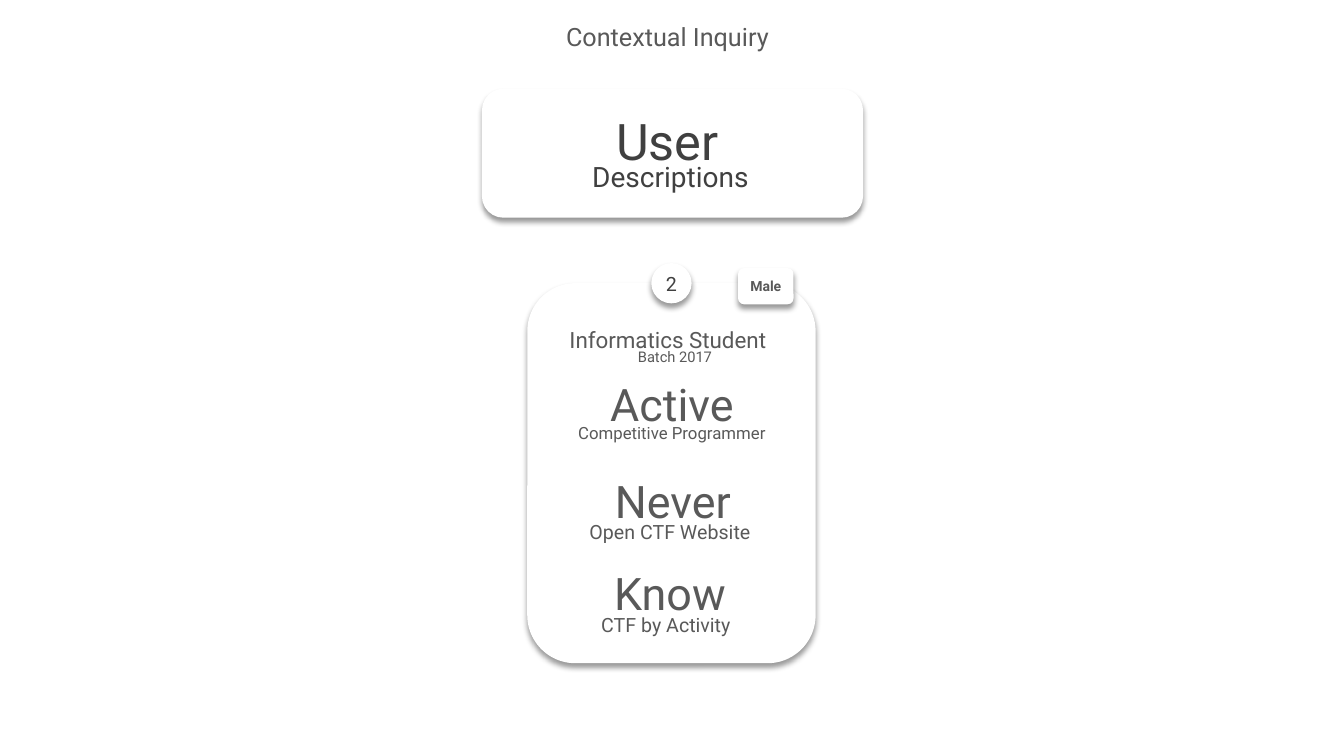
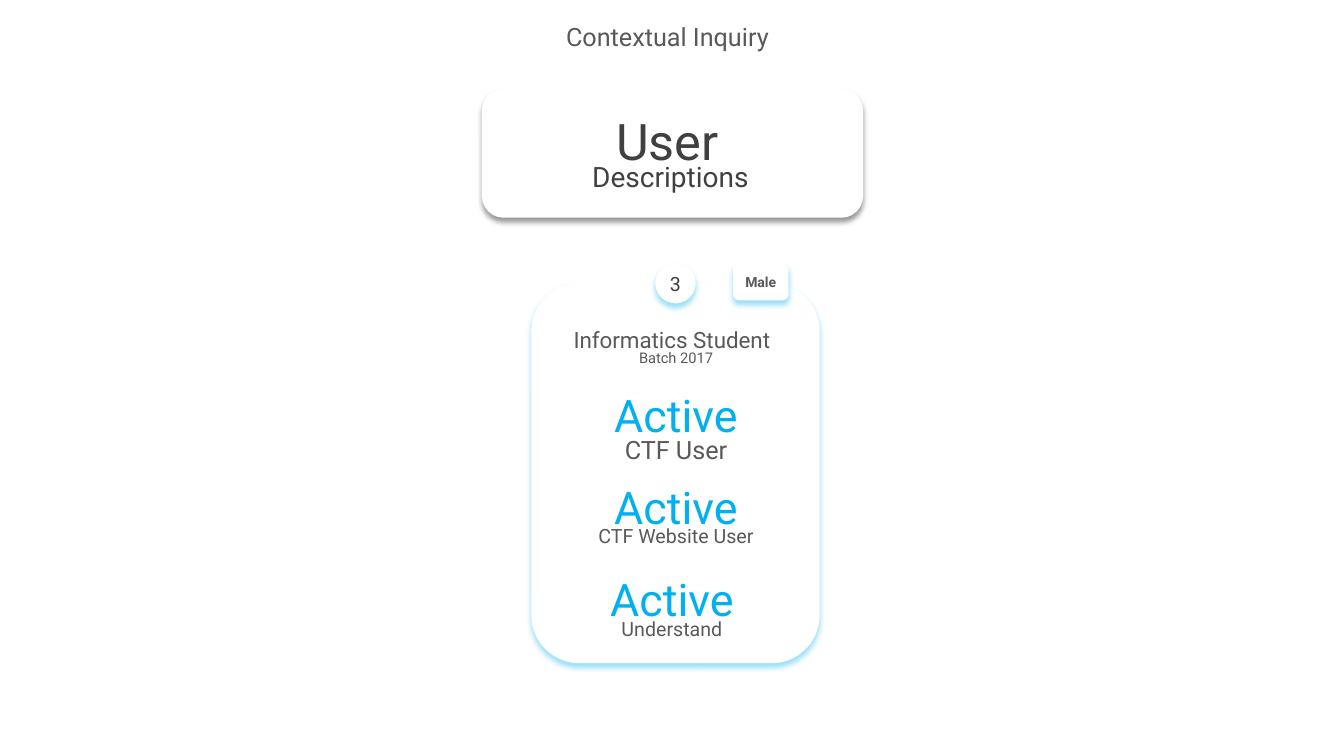
from pptx import Presentation
from pptx.dml.color import RGBColor
from pptx.enum.shapes import MSO_SHAPE
from pptx.enum.text import MSO_ANCHOR, PP_ALIGN
from pptx.oxml.ns import qn
from pptx.util import Inches, Pt
from lxml import etree

WHITE = RGBColor(0xFF, 0xFF, 0xFF)
BLACK = RGBColor(0x00, 0x00, 0x00)
DARK = RGBColor(0x40, 0x40, 0x40)
GRAY = RGBColor(0x59, 0x59, 0x59)
BLUE = RGBColor(0x00, 0xB0, 0xF0)
FONT = "Roboto"
ROUND = MSO_SHAPE.ROUNDED_RECTANGLE
OVAL = MSO_SHAPE.OVAL
LEFT, CENTER = PP_ALIGN.LEFT, PP_ALIGN.CENTER
TOP, MIDDLE = MSO_ANCHOR.TOP, MSO_ANCHOR.MIDDLE

HEAD_BOX = (4.78, 0.88, 3.78, 1.28)
CARD_TOP, CARD_W, CARD_H = 2.81, 2.86, 3.77
LINE_W = 2.23

CARDS = [
    dict(left=5.23, number="2", glow=BLACK, accent=GRAY, tag=(2.09, -0.15), lines=[
        ("Informatics Student", 0.32, 0.38, 16),
        ("Batch 2017", 0.35, 0.59, 10.5),
        ("Active", 0.32, 0.88, 32),
        ("Competitive Programmer", 0.32, 1.33, 12),
        ("Never", 0.33, 1.84, 32),
        ("Open CTF Website", 0.3, 2.3, 14),
        ("Know", 0.3, 2.75, 32),
        ("CTF by Activity", 0.26, 3.22, 14),
    ]),
    dict(left=5.27, number="3", glow=BLUE, accent=BLUE, tag=(2, -0.19), lines=[
        ("Informatics Student", 0.32, 0.38, 16),
        ("Batch 2017", 0.32, 0.6, 10.5),
        ("Active", 0.32, 0.99, 32),
        ("CTF User", 0.32, 1.45, 18),
        ("Active", 0.32, 1.9, 32),
        ("CTF Website User", 0.32, 2.34, 14),
        ("Active", 0.28, 2.81, 32),
        ("Understand", 0.28, 3.26, 14),
    ]),
]


def write(shape, text, size, color, align=CENTER, anchor=TOP, bold=False):
    frame = shape.text_frame
    frame.text = text
    frame.word_wrap = True
    frame.vertical_anchor = anchor
    para = frame.paragraphs[0]
    para.alignment = align
    font = para.runs[0].font
    font.name, font.size, font.bold = FONT, Pt(size), bold
    font.color.rgb = color


def label(slide, text, x, y, w, size, color, align=CENTER):
    box = slide.shapes.add_textbox(
        Inches(x), Inches(y), Inches(w), Inches(0.1 + size / 60))
    write(box, text, size, color, align)


def panel(slide, kind, box, glow):
    shape = slide.shapes.add_shape(kind, *map(Inches, box))
    shape.fill.solid()
    shape.fill.fore_color.rgb = WHITE
    shape.line.fill.background()
    shape.shadow.inherit = False
    effects = shape._element.spPr.find(qn("a:effectLst"))
    shade = etree.SubElement(
        effects, qn("a:outerShdw"), blurRad=str(Pt(4)), dist=str(Pt(3)),
        dir="5400000", algn="t", rotWithShape="0")
    tint = etree.SubElement(shade, qn("a:srgbClr"), val=str(glow))
    etree.SubElement(tint, qn("a:alpha"), val="40000")
    return shape


def badge(slide, kind, box, glow, text, size, color, bold=False):
    shape = panel(slide, kind, box, glow)
    frame = shape.text_frame
    frame.margin_left = frame.margin_right = 0
    write(shape, text, size, color, anchor=MIDDLE, bold=bold)


def title(slide, text):
    shape = slide.shapes.title
    shape.left, shape.top = Inches(4.96), Inches(0.16)
    shape.width, shape.height = Inches(3.32), Inches(0.4)
    write(shape, text, 18, GRAY)


def header(slide, box):
    x, y, w, h = box
    panel(slide, ROUND, box, BLACK)
    label(slide, "User", x - 0.05, y + 0.16, w, 36, DARK)
    label(slide, "Descriptions", x - 0.02, y + 0.65, w, 20, DARK)


def card(slide, box, data):
    x, y, w, h = box
    glow = data["glow"]
    panel(slide, ROUND, box, glow)
    badge(slide, OVAL, (x + w / 2 - 0.2, y - 0.2, 0.4, 0.4), glow,
          data["number"], 14, DARK)
    for i, (text, dx, dy, size) in enumerate(data["lines"]):
        color = data["accent"] if size == 32 else GRAY
        align = LEFT if i == 0 else CENTER
        label(slide, text, x + dx, y + dy, LINE_W, size, color, align)
    dx, dy = data["tag"]
    badge(slide, ROUND, (x + dx, y + dy, 0.55, 0.36), glow,
          "Male", 10, GRAY, bold=True)


def main():
    deck = Presentation()
    deck.slide_width, deck.slide_height = Inches(13.33), Inches(7.5)
    for data in CARDS:
        slide = deck.slides.add_slide(deck.slide_layouts[5])
        title(slide, "Contextual Inquiry")
        header(slide, HEAD_BOX)
        card(slide, (data["left"], CARD_TOP, CARD_W, CARD_H), data)
    deck.save("out.pptx")


if __name__ == "__main__":
    main()
